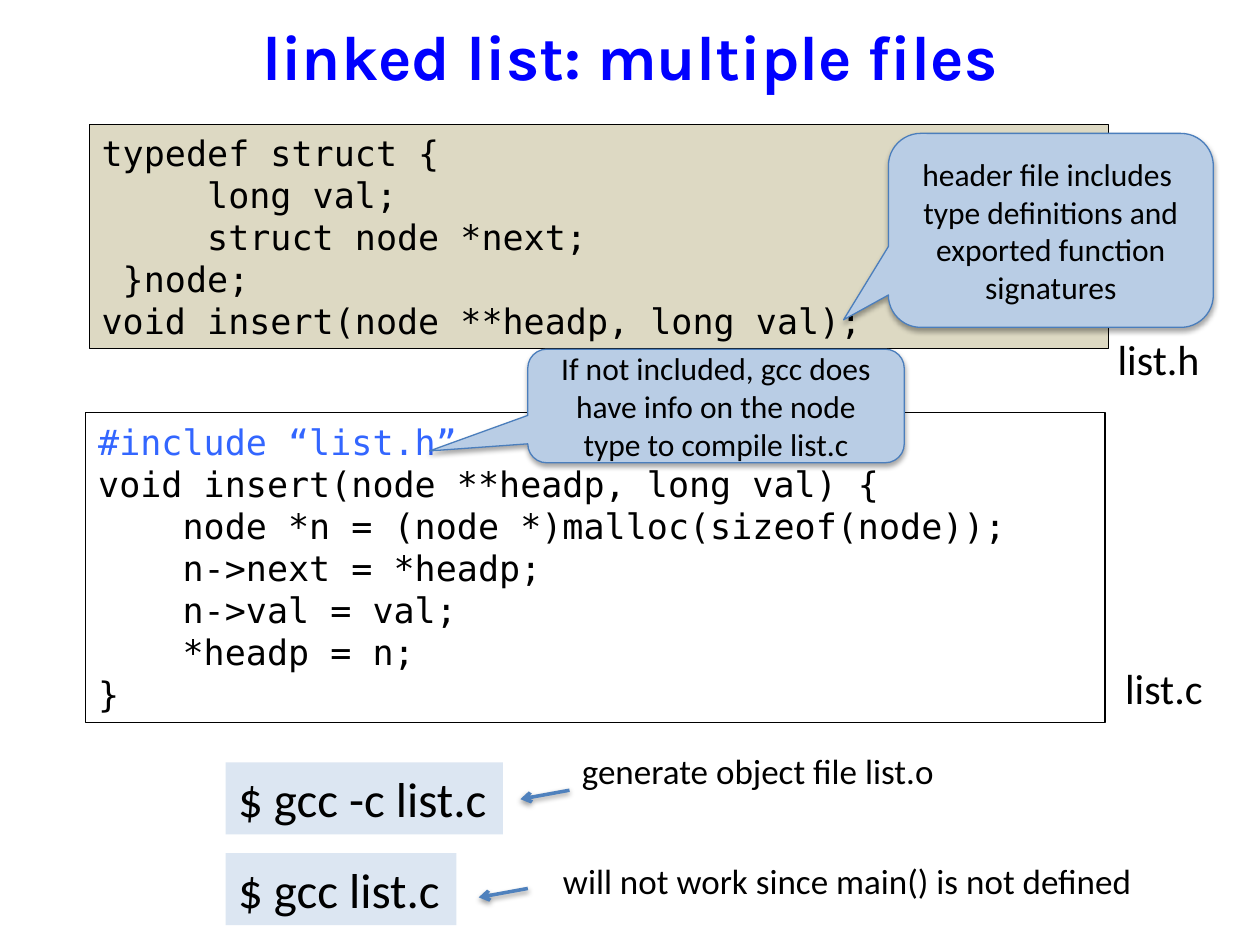
from dataclasses import dataclass

from lxml import etree
from pptx import Presentation
from pptx import util as u
from pptx.dml.color import RGBColor
from pptx.enum import shapes, text
from pptx.oxml.ns import qn


@dataclass(frozen=True)
class Theme:
    title_color: str = "0000FF"
    ink: str = "000000"
    include: str = "3366FF"
    header_fill: str = "DDD9C3"
    command_fill: str = "DCE6F2"
    callout_fill: str = "B9CDE5"
    callout_line: str = "4B7EBC"
    arrow: str = "4F81BD"
    title_font: str = "Karla"
    code_font: str = "DejaVu Sans Mono"
    body_font: str = "Calibri"
    title_size: int = 36
    command_size: int = 28
    file_size: int = 24
    code_size: int = 20
    note_size: int = 20
    callout_size: int = 18


THEME = Theme()

HEADER_CODE = """typedef struct {
     long val;
     struct node *next;
 }node;
void insert(node **headp, long val);"""

SOURCE_CODE = """#include “list.h”
void insert(node **headp, long val) {
    node *n = (node *)malloc(sizeof(node));
    n->next = *headp;
    n->val = val;
    *headp = n;
}"""

GROW = {"word_wrap": True, "auto_size": text.MSO_AUTO_SIZE.SHAPE_TO_FIT_TEXT}
ONE_LINE = {**GROW, "word_wrap": False}
MIDDLE = {"word_wrap": True, "vertical_anchor": text.MSO_ANCHOR.MIDDLE}


def rgb(color):
    return RGBColor.from_string(color)


def cm(values):
    return [u.Cm(value) for value in values]


def write(frame, lines, frame_format, font, size, color=THEME.ink, bold=False,
          align=text.PP_ALIGN.LEFT):
    for name, value in frame_format.items():
        setattr(frame, name, value)
    font_format = {"name": font, "size": u.Pt(size), "bold": bold}
    for index, line in enumerate(lines):
        paragraph = frame.add_paragraph() if index else frame.paragraphs[0]
        paragraph.alignment = align
        run = paragraph.add_run()
        run.text = line
        for name, value in font_format.items():
            setattr(run.font, name, value)
        run.font.color.rgb = rgb(color)


def drop_shadow(item, distance, opacity):
    """Add a soft shadow below; call it once fill and line are set."""
    effects = etree.SubElement(item._element.spPr, qn("a:effectLst"))
    shadow = etree.SubElement(
        effects, qn("a:outerShdw"), blurRad=str(u.Pt(3.1)),
        dist=str(u.Pt(distance)), dir="5400000", rotWithShape="0")
    black = etree.SubElement(shadow, qn("a:srgbClr"), val="000000")
    etree.SubElement(black, qn("a:alpha"), val=str(opacity * 1000))


def add_label(slide, box, line, size, frame_format=ONE_LINE,
              font=THEME.body_font, **style):
    label = slide.shapes.add_textbox(*cm(box))
    write(label.text_frame, [line], frame_format, font, size, **style)
    return label


def add_code(slide, box, code, fill=None):
    listing = slide.shapes.add_shape(shapes.MSO_SHAPE.RECTANGLE, *cm(box))
    if fill:
        listing.fill.solid()
        listing.fill.fore_color.rgb = rgb(fill)
    else:
        listing.fill.background()
    listing.line.color.rgb = rgb(THEME.ink)
    listing.line.width = u.Pt(0.75)
    listing.shadow.inherit = False
    write(listing.text_frame, code.split("\n"), GROW, THEME.code_font,
          THEME.code_size)
    for paragraph in listing.text_frame.paragraphs:
        if paragraph.text.startswith("#include"):
            paragraph.runs[0].font.color.rgb = rgb(THEME.include)


def add_command(slide, box, command):
    prompt = add_label(slide, box, command, THEME.command_size)
    prompt.fill.solid()
    prompt.fill.fore_color.rgb = rgb(THEME.command_fill)


def add_arrow(slide, left, top):
    """Draw a short arrow pointing left to its lower end."""
    arrow = slide.shapes.add_connector(
        shapes.MSO_CONNECTOR.STRAIGHT,
        *cm((left + 0.99, top, left, top + 0.18)))
    arrow.line.color.rgb = rgb(THEME.arrow)
    arrow.line.width = u.Pt(2)
    etree.SubElement(arrow.line._get_or_add_ln(), qn("a:tailEnd"),
                     type="arrow")
    drop_shadow(arrow, 1.6, 38)


def add_callout(slide, box, tip, lines):
    callout = slide.shapes.add_shape(
        shapes.MSO_SHAPE.ROUNDED_RECTANGULAR_CALLOUT, *cm(box))
    for index, value in enumerate((*tip, 0.167)):
        callout.adjustments[index] = value
    callout.fill.solid()
    callout.fill.fore_color.rgb = rgb(THEME.callout_fill)
    callout.line.color.rgb = rgb(THEME.callout_line)
    callout.line.width = u.Pt(0.75)
    drop_shadow(callout, 1.8, 35)
    write(callout.text_frame, lines, MIDDLE, THEME.body_font,
          THEME.callout_size, align=text.PP_ALIGN.CENTER)


def main():
    deck = Presentation()
    deck.slide_width, deck.slide_height = cm((25.4, 19.05))
    slide = deck.slides.add_slide(deck.slide_layouts[6])

    add_label(slide, (1.27, -0.48, 22.86, 3.18), "linked list: multiple files",
              THEME.title_size, MIDDLE, THEME.title_font,
              color=THEME.title_color, bold=True, align=text.PP_ALIGN.CENTER)

    add_code(slide, (1.8, 2.51, 20.55, 4.52), HEADER_CODE, THEME.header_fill)
    add_label(slide, (22.28, 6.6, 2.18, 1.27), "list.h", THEME.file_size)
    add_code(slide, (1.73, 8.31, 20.55, 6.25), SOURCE_CODE)
    add_label(slide, (22.43, 13.23, 2.11, 1.27), "list.c", THEME.file_size)

    add_command(slide, (4.55, 15.37, 5.59, 1.45), "$ gcc -c list.c")
    add_arrow(slide, 10.49, 15.93)
    add_label(slide, (11.48, 14.99, 7.7, 1.12), "generate object file list.o",
              THEME.note_size)
    add_command(slide, (4.55, 17.2, 4.65, 1.45), "$ gcc list.c")
    add_arrow(slide, 9.65, 17.91)
    add_label(slide, (11.1, 17.2, 12.09, 1.12),
              "will not work since main() is not defined", THEME.note_size)

    add_callout(slide, (17.91, 2.69, 6.55, 3.91), (-0.638, 0.461),
                ["header file includes ",
                 "type definitions and exported function signatures"])
    add_callout(slide, (10.64, 7.04, 7.59, 2.29), (-0.761, 0.396),
                ["If not included, gcc does have info on the node type to "
                 "compile list.c"])
    deck.save("out.pptx")


if __name__ == "__main__":
    main()
